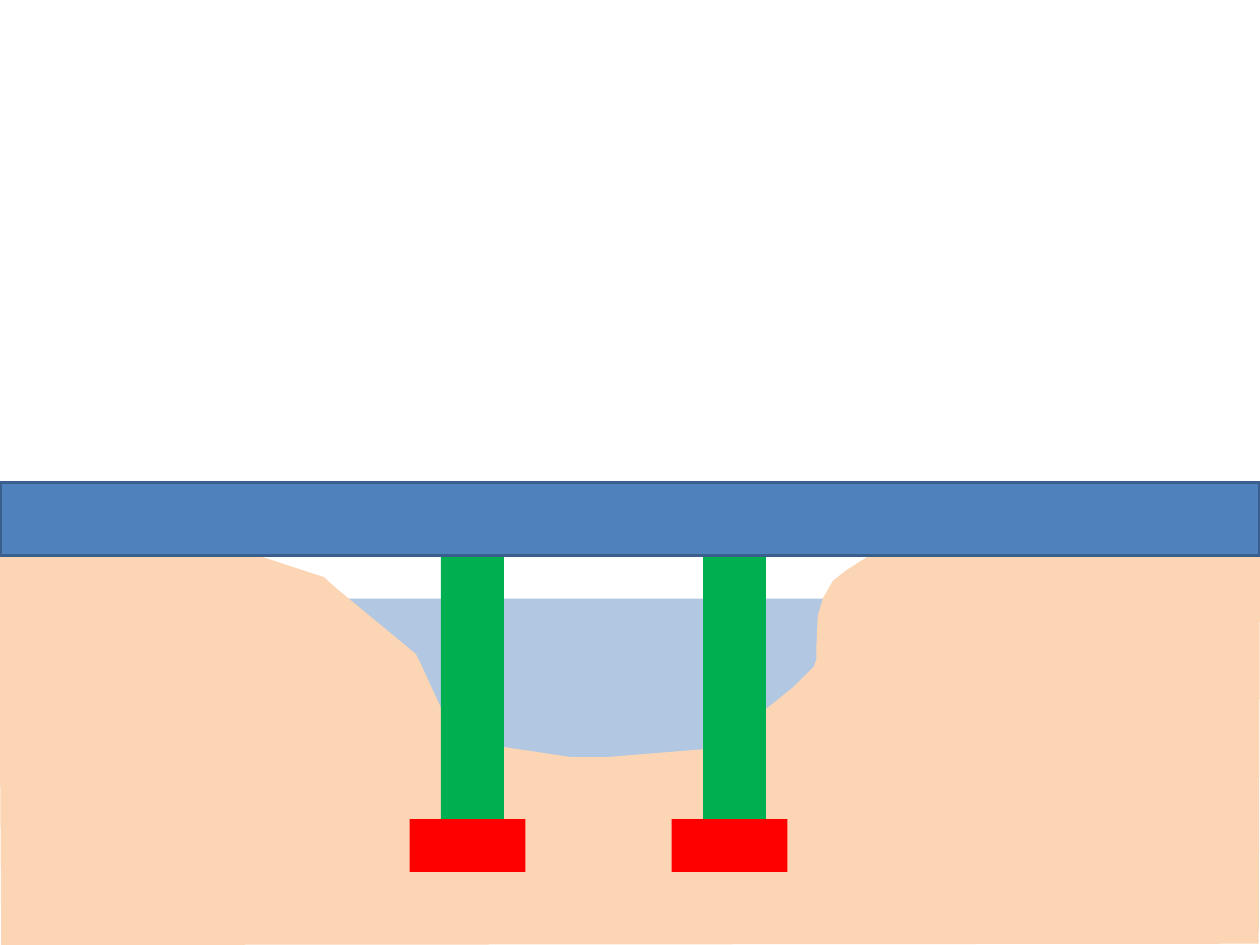
"""Draw a bridge on two piers across a river bed."""
from lxml import etree
from pptx import Presentation
from pptx.dml.color import RGBColor
from pptx.enum.shapes import MSO_SHAPE
from pptx.oxml.ns import qn
from pptx.util import Inches, Pt

RECT = MSO_SHAPE.RECTANGLE
BLUE = RGBColor(0x4F, 0x81, 0xBD)
NAVY = RGBColor(0x3A, 0x5F, 0x8C)
SAND = RGBColor(0xFC, 0xD5, 0xB5)
RED = RGBColor(0xFF, 0x00, 0x00)
GREEN = RGBColor(0x00, 0xB0, 0x50)


def paint(shape, color):
    shape.shadow.inherit = False
    shape.fill.solid()
    shape.fill.fore_color.rgb = color
    shape.line.fill.background()
    return shape


def block(left, top, width, height, color):
    box = [Inches(v) for v in (left, top, width, height)]
    return paint(slide.shapes.add_shape(RECT, *box), color)


deck = Presentation()
deck.slide_width, deck.slide_height = Inches(10), Inches(7.5)
slide = deck.slides.add_slide(deck.slide_layouts[6])

water = block(2.08, 4.75, 5.58, 1.42, BLUE)
tint = water.fill._xPr.find(".//" + qn("a:srgbClr"))
etree.SubElement(tint, qn("a:alpha"), val="44000")

banks = [
    (-0.01, 4.35), (1.99, 4.39), (2.57, 4.58), (2.67, 4.67), (3.3, 5.19),
    (3.34, 5.27), (3.57, 5.77), (3.67, 5.85), (3.81, 5.9), (4.54, 6.01),
    (4.8, 6.01), (5.66, 5.94), (5.72, 5.87), (5.92, 5.76), (6.1, 5.61),
    (6.3, 5.45), (6.46, 5.29), (6.48, 5.23), (6.48, 5.11), (6.49, 4.89),
    (6.53, 4.75), (6.61, 4.61), (6.71, 4.53), (7.15, 4.25), (10, 4.32),
    (9.99, 7.49), (0.01, 7.5),
]
points = [(Inches(x), Inches(y)) for x, y in banks]
path = slide.shapes.build_freeform(*points[0])
path.add_line_segments(points[1:], close=True)
paint(path.convert_to_shape(), SAND)

for left in (3.25, 5.33):
    block(left, 6.5, 0.92, 0.42, RED)
    block(left + 0.25, 4.42, 0.5, 2.08, GREEN)

road = block(0, 3.83, 10, 0.58, BLUE)
road.line.color.rgb = NAVY
road.line.width = Pt(2)

deck.save("out.pptx")
